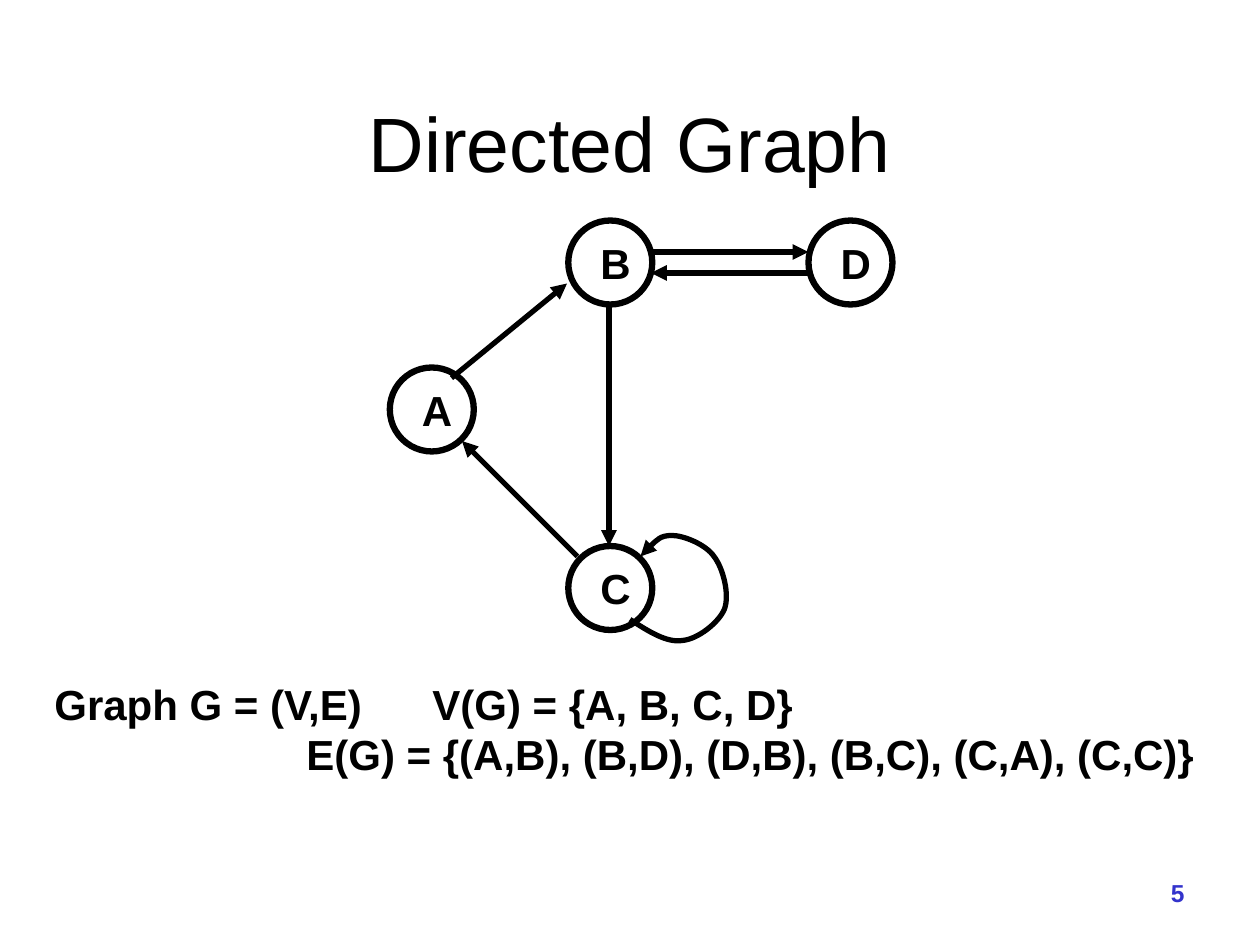
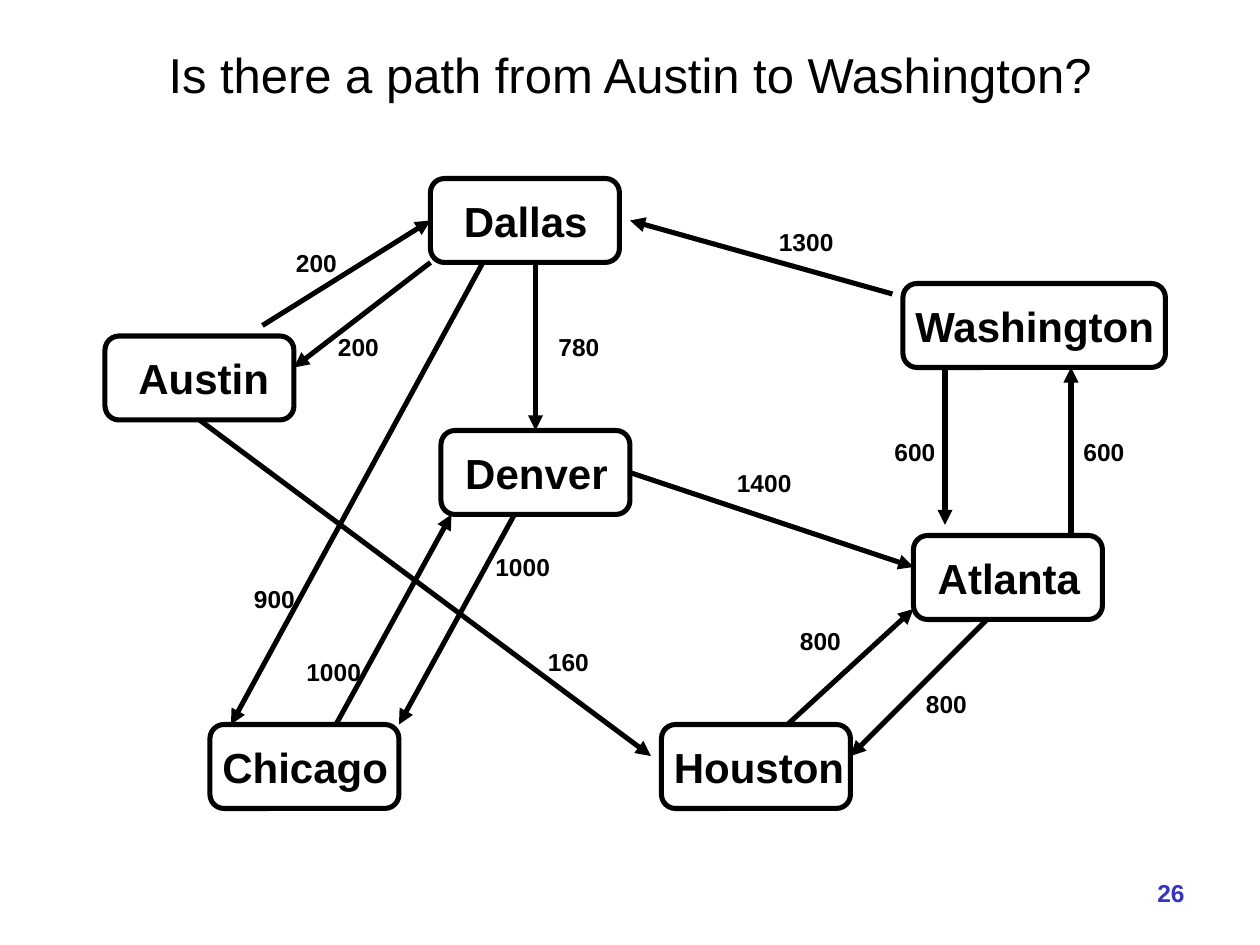
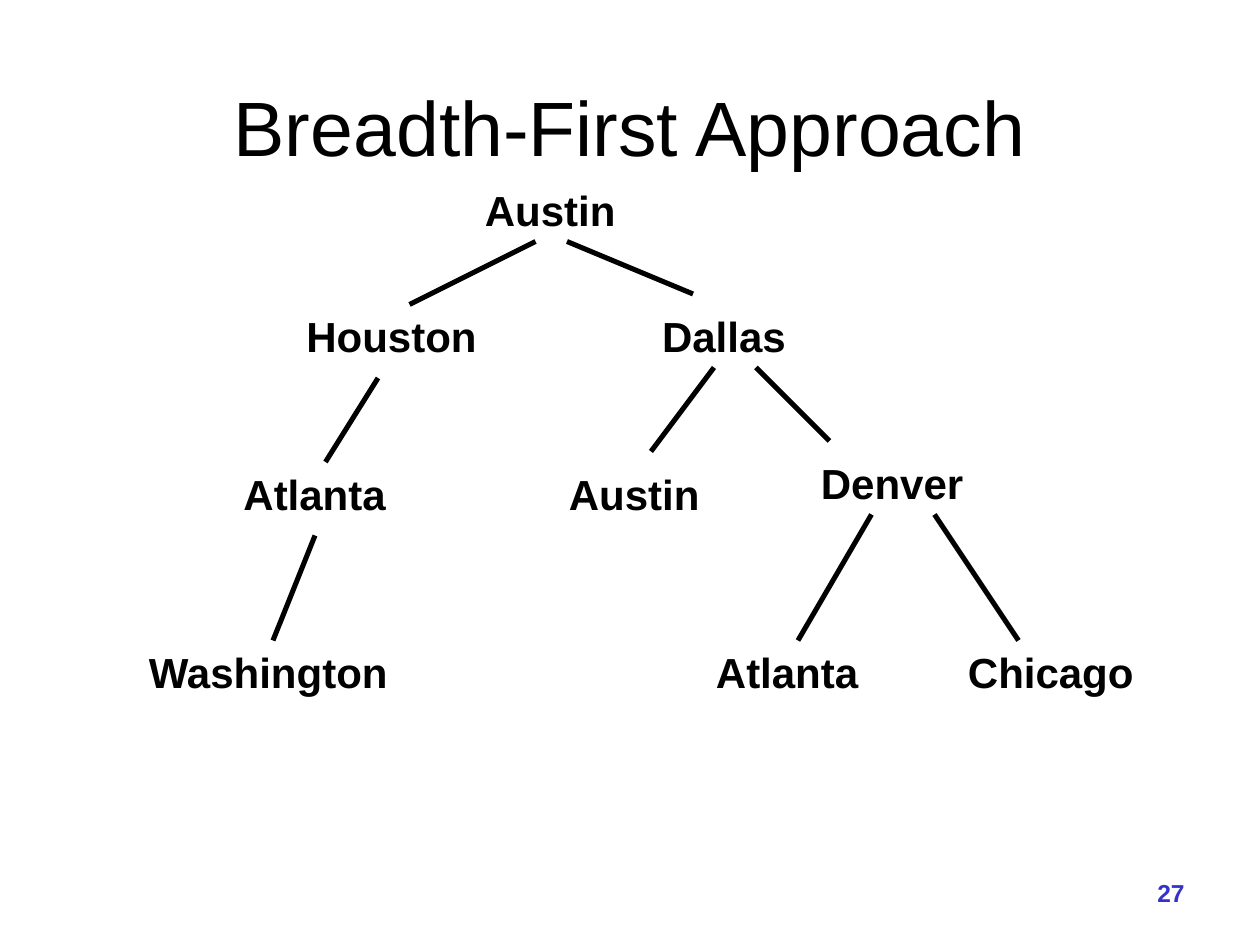
from dataclasses import dataclass

from lxml import etree
from pptx import Presentation
from pptx import util as u
from pptx.dml import color
from pptx.enum import shapes, text
from pptx.oxml import ns

EMU_PER_PX = 9525


@dataclass(frozen=True)
class Theme:
    font: str = "Arial"
    ink: str = "000000"
    page_number: str = "3333CC"
    title_size: int = 44
    question_size: int = 28
    label_size: int = 24
    small_size: int = 14
    vertex_pen: float = 3.6
    edge_pen: float = 3
    city_pen: float = 2.89


THEME = Theme()

VERTEX_SIZE = 64
VERTICES = {"B": (433, 168), "C": (433, 416), "D": (616, 168), "A": (297, 280)}
VERTEX_EDGES = [
    ((440, 424), (352, 336)),
    ((344, 288), (432, 216)),
    ((496, 192), (616, 192)),
    ((464, 232), (464, 416)),
    ((616, 208), (496, 208)),
]
LOOP = [
    (480, 472),
    (494, 481), (508, 490), (520, 488),
    (532, 487), (548, 474), (552, 464),
    (556, 453), (551, 433), (544, 424),
    (538, 415), (521, 408), (512, 408),
    (503, 408), (495, 416), (488, 424),
]
DEFINITIONS = [
    ("Graph G = (V,E)\tV(G) = {A, B, C, D}", 288),
    ("\tE(G) = {(A,B), (B,D), (D,B), (B,C), (C,A), (C,C)}", 192),
]

CITY_HEIGHT = 64
CITY_LABEL_WIDTH = {
    "Dallas": 114, "Austin": 119, "Denver": 128, "Washington": 202,
    "Chicago": 146, "Houston": 149, "Atlanta": 128,
}
CITIES = [
    ("Dallas", 328, 136, 144, 16),
    ("Austin", 80, 256, 144, 16),
    ("Denver", 336, 328, 144, 9),
    ("Washington", 688, 216, 200, 0),
    ("Chicago", 160, 552, 144, 0),
    ("Houston", 504, 552, 144, 0),
    ("Atlanta", 696, 408, 144, 9),
]
FLIGHTS = [
    ((200, 248), (328, 168), "200", (216, 184)),
    ((328, 200), (224, 280), "200", (248, 248)),
    ((408, 200), (408, 328), "780", (416, 248)),
    ((680, 224), (480, 168), "1300", (584, 168)),
    ((480, 360), (696, 432), "1400", (552, 352)),
    ((720, 280), (720, 400), "600", (672, 328)),
    ((816, 408), (816, 280), "600", (816, 328)),
    ((600, 552), (696, 464), "800", (600, 472)),
    ((752, 472), (648, 576), "800", (696, 520)),
    ((152, 320), (496, 576), "160", (408, 488)),
    ((368, 200), (176, 552), "900", (184, 440)),
    ((256, 552), (344, 392), "1000", (224, 496)),
    ((392, 392), (304, 552), "1000", (368, 416)),
]

TREE_CITIES = [
    ("Austin", 360, 136),
    ("Houston", 224, 232), ("Dallas", 495, 232),
    ("Atlanta", 176, 352), ("Austin", 424, 352), ("Denver", 616, 344),
    ("Washington", 104, 488), ("Atlanta", 536, 488), ("Chicago", 728, 488),
]
TREE_BRANCHES = [
    ((408, 184), (312, 232)),
    ((432, 184), (528, 224)),
    ((288, 288), (248, 352)),
    ((240, 408), (208, 488)),
    ((544, 280), (496, 344)),
    ((576, 280), (632, 336)),
    ((664, 392), (608, 488)),
    ((712, 392), (776, 488)),
]


def px(*lengths):
    return [u.Emu(length * EMU_PER_PX) for length in lengths]


def rgb(value):
    return color.RGBColor.from_string(value)


def add_text(slide, lines, left, top, width, height, *, size=THEME.label_size,
             ink=THEME.ink, bold=True, wrap=False, align=text.PP_ALIGN.LEFT,
             anchor=text.MSO_ANCHOR.TOP):
    frame = slide.shapes.add_textbox(*px(left, top, width, height)).text_frame
    frame.word_wrap = wrap
    frame.vertical_anchor = anchor
    if not wrap:
        frame.auto_size = text.MSO_AUTO_SIZE.SHAPE_TO_FIT_TEXT
    frame.text = "\n".join(lines)
    for paragraph in frame.paragraphs:
        paragraph.alignment = align
        for run in paragraph.runs:
            run.font.name = THEME.font
            run.font.size = u.Pt(size)
            run.font.bold = bold
            run.font.color.rgb = rgb(ink)
    return frame


def add_title(slide, title, top, height=80, size=THEME.title_size):
    add_text(slide, [title], 72, top, 816, height, size=size, bold=False, wrap=True,
             align=text.PP_ALIGN.CENTER, anchor=text.MSO_ANCHOR.MIDDLE)


def add_page_number(slide, number):
    add_text(slide, [str(number)], 712, 664, 200, 39, size=THEME.small_size,
             ink=THEME.page_number, wrap=True, align=text.PP_ALIGN.RIGHT)


def add_city_label(slide, city, left, top):
    add_text(slide, [city], left, top, CITY_LABEL_WIDTH[city], 48)


def add_distance(slide, distance, left, top):
    add_text(slide, [distance], left, top, 21 + 10 * len(distance), 33,
             size=THEME.small_size)


def set_pen(shape, width):
    shape.line.color.rgb = rgb(THEME.ink)
    shape.line.width = u.Pt(width)


def add_arrowhead(shape):
    line = shape.line._get_or_add_ln()
    etree.SubElement(line, ns.qn("a:tailEnd"), type="triangle")


def add_outline(slide, kind, left, top, width, height, pen):
    shape = slide.shapes.add_shape(kind, *px(left, top, width, height))
    shape.shadow.inherit = False
    shape.fill.background()
    set_pen(shape, pen)


def add_edge(slide, start, end, pen, arrow=True):
    connector = slide.shapes.add_connector(
        shapes.MSO_CONNECTOR.STRAIGHT, *px(*start, *end))
    set_pen(connector, pen)
    if arrow:
        add_arrowhead(connector)
    etree.SubElement(connector._element.spPr, ns.qn("a:effectLst"))


def add_curve(slide, points, pen):
    builder = slide.shapes.build_freeform(*points[0], scale=EMU_PER_PX)
    builder.add_line_segments(points[1:], close=False)
    shape = builder.convert_to_shape()
    steps = list(shape._element.iter(ns.qn("a:lnTo")))
    for index in range(0, len(steps), 3):
        triple = steps[index:index + 3]
        bezier = etree.Element(ns.qn("a:cubicBezTo"))
        triple[0].addprevious(bezier)
        for step in triple:
            bezier.append(step[0])
            step.getparent().remove(step)
    shape.shadow.inherit = False
    shape.fill.background()
    set_pen(shape, pen)
    add_arrowhead(shape)


def add_definitions(slide):
    frame = add_text(slide, [line for line, _ in DEFINITIONS], 32, 512, 889, 86)
    for paragraph, (_, stop) in zip(frame.paragraphs, DEFINITIONS):
        properties = paragraph._p.get_or_add_pPr()
        tabs = etree.SubElement(properties, ns.qn("a:tabLst"))
        etree.SubElement(tabs, ns.qn("a:tab"), pos=str(stop * EMU_PER_PX), algn="l")


def build_directed_graph(slide):
    add_title(slide, "Directed Graph", 64, height=88)
    for name, (left, top) in VERTICES.items():
        add_outline(slide, shapes.MSO_SHAPE.OVAL, left, top, VERTEX_SIZE, VERTEX_SIZE,
                    THEME.vertex_pen)
        add_text(slide, [name], left + 15, top + 8, 43, 48)
    for start, end in VERTEX_EDGES:
        add_edge(slide, start, end, THEME.edge_pen)
    add_curve(slide, LOOP, THEME.edge_pen)
    add_definitions(slide)


def build_flight_map(slide):
    add_title(slide, "Is there a path from Austin to Washington?", 16,
              size=THEME.question_size)
    for city, left, top, width, indent in CITIES:
        add_outline(slide, shapes.MSO_SHAPE.ROUNDED_RECTANGLE, left, top, width,
                    CITY_HEIGHT, THEME.city_pen)
        add_city_label(slide, city, left + indent, top + 8)
    for start, end, distance, label_corner in FLIGHTS:
        add_edge(slide, start, end, THEME.city_pen)
        add_distance(slide, distance, *label_corner)


def build_search_tree(slide):
    add_title(slide, "Breadth-First Approach", 56)
    for city, left, top in TREE_CITIES:
        add_city_label(slide, city, left, top)
    for start, end in TREE_BRANCHES:
        add_edge(slide, start, end, THEME.city_pen, arrow=False)


def main():
    presentation = Presentation()
    presentation.slide_width, presentation.slide_height = px(960, 720)
    blank = presentation.slide_layouts[6]
    pages = [(build_directed_graph, 5), (build_flight_map, 26), (build_search_tree, 27)]
    for build, number in pages:
        slide = presentation.slides.add_slide(blank)
        build(slide)
        add_page_number(slide, number)
    presentation.save("out.pptx")


if __name__ == "__main__":
    main()
